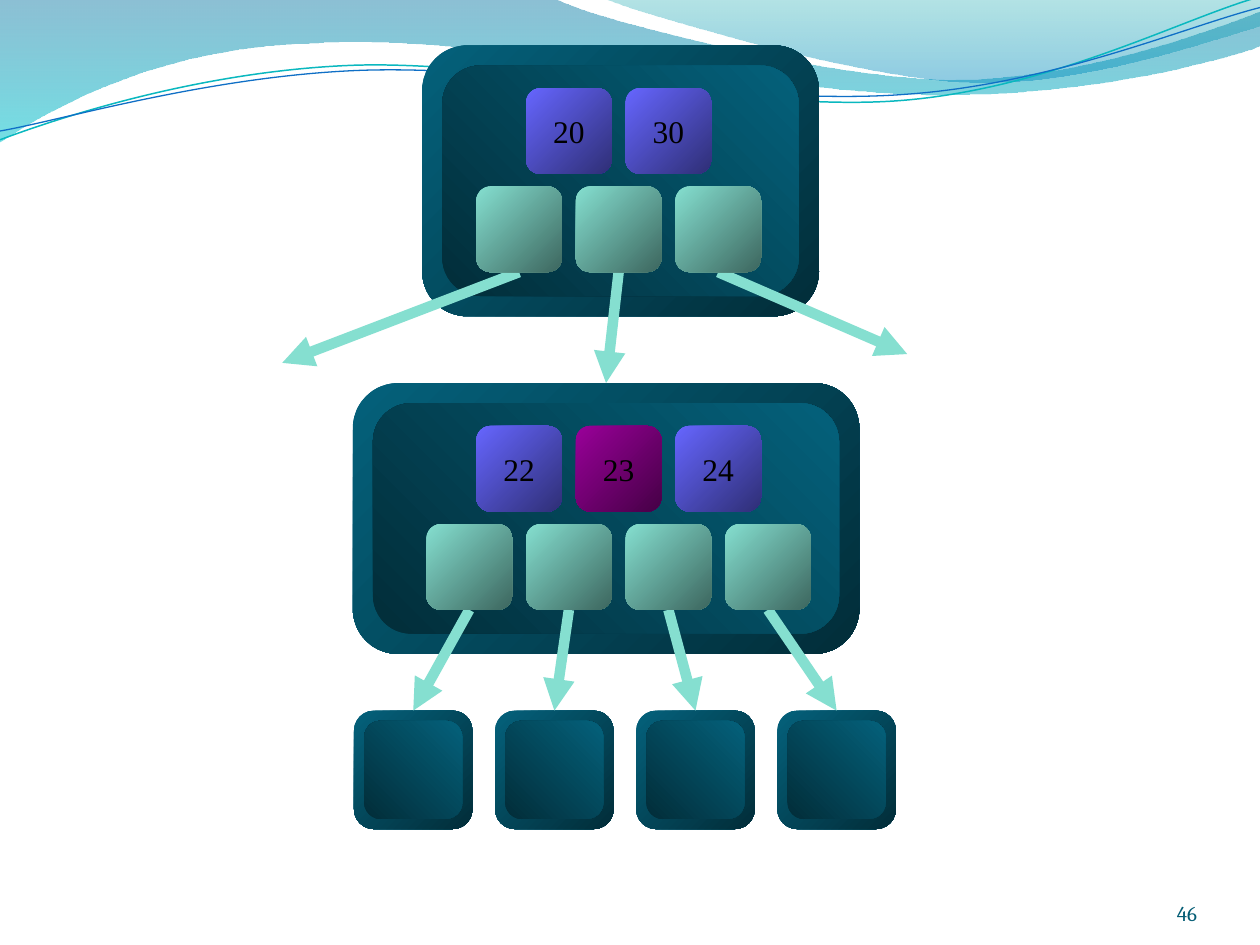
from lxml import etree
from pptx import Presentation
from pptx.dml.color import RGBColor
from pptx.enum.shapes import MSO_CONNECTOR, MSO_SHAPE
from pptx.enum.text import MSO_ANCHOR, PP_ALIGN
from pptx.oxml.ns import qn
from pptx.util import Inches, Pt

ROUND_RECT = MSO_SHAPE.ROUNDED_RECTANGLE
STRAIGHT = MSO_CONNECTOR.STRAIGHT
MIDDLE, BOTTOM = MSO_ANCHOR.MIDDLE, MSO_ANCHOR.BOTTOM
CENTER, RIGHT = PP_ALIGN.CENTER, PP_ALIGN.RIGHT

BLACK = RGBColor(0x00, 0x00, 0x00)
TEAL = RGBColor(0x04, 0x61, 0x7B)
TEAL_DARK = RGBColor(0x02, 0x2D, 0x39)
BLUE = RGBColor(0x66, 0x66, 0xFF)
BLUE_DARK = RGBColor(0x2F, 0x2F, 0x76)
PURPLE = RGBColor(0x99, 0x00, 0x99)
PURPLE_DARK = RGBColor(0x46, 0x00, 0x46)
MINT = RGBColor(0x85, 0xDF, 0xD0)
MINT_DARK = RGBColor(0x3D, 0x67, 0x5F)
NUMBER = RGBColor(0x04, 0x5D, 0x75)
WAVE_TOP = RGBColor(0x00, 0x74, 0xA1)
WAVE_BOTTOM = RGBColor(0x00, 0xC6, 0xCF)
CREST_TOP = RGBColor(0x00, 0xA1, 0xA9)
CREST_BOTTOM = RGBColor(0x00, 0x8B, 0xBF)
LINE_TEAL = RGBColor(0x0A, 0xB8, 0xBF)
LINE_BLUE = RGBColor(0x0F, 0x6F, 0xC6)

CELL, PITCH = 0.68, 0.79   # cell side and distance between cell starts
ROW_CENTER = 4.91          # every row of cells is centred here
KEY_TOP, POINTER_TOP = 0.34, 1.12

# Each outline is a list of points: 2 numbers make a line, 6 a Bezier curve
WAVE = [(0, 0), (4.4, -0.01), (4.76, 0.17, 6.64, 0.63, 7.58, 0.63),
        (8.53, 0.63, 9.58, 0.26, 10, 0.09), (10.01, 0.36),
        (9.83, 0.44, 8.7, 0.76, 7.46, 0.75), (6.22, 0.75, 3.82, 0.28, 2.57, 0.34),
        (1.29, 0.36, 0.46, 0.83, -0.01, 1.13)]
CREST = [(4.79, -0.01), (5.09, 0.11, 6.82, 0.62, 7.69, 0.65),
         (8.56, 0.69, 9.61, 0.32, 10, 0.21), (10, 0)]
TEAL_CURVE = [(0, 1.11), (0.48, 0.93, 1.58, 0.57, 2.77, 0.52),
              (3.95, 0.47, 5.93, 0.89, 7.13, 0.8), (8.33, 0.71, 9.38, 0.15, 9.98, -0.02)]
BLUE_CURVE = [(0, 1.04), (0.47, 0.96, 1.64, 0.61, 2.83, 0.56),
              (4.03, 0.51, 5.97, 0.84, 7.17, 0.75), (8.36, 0.67, 9.41, 0.21, 10, 0.06)]


def set_gradient(sp, colors, angle, alphas=()):
    """Two-colour gradient; the angle runs counter-clockwise."""
    sp.fill.gradient()
    sp.fill.gradient_angle = angle
    for stop, color in zip(sp.fill.gradient_stops, colors):
        stop.color.rgb = color
    for clr, alpha in zip(sp._element.spPr.iter(qn("a:srgbClr")), alphas):
        etree.SubElement(clr, qn("a:alpha")).set("val", str(alpha * 1000))


def add_outline(slide, outline, close):
    """Freeform through the anchor points, its segments then bent into curves."""
    x, y = outline[0]
    builder = slide.shapes.build_freeform(Inches(x), Inches(y))
    anchors = [(Inches(seg[-2]), Inches(seg[-1])) for seg in outline[1:]]
    builder.add_line_segments(anchors, close=close)
    sp = builder.convert_to_shape()
    sp.shadow.inherit = False
    lines = list(sp._element.spPr.iter(qn("a:lnTo")))
    for line, seg in zip(lines, outline[1:]):
        if len(seg) == 6:
            curve = etree.Element(qn("a:cubicBezTo"))
            for px, py in zip(seg[::2], seg[1::2]):
                pt = etree.SubElement(curve, qn("a:pt"))
                pt.set("x", str(Inches(px) - sp.left))
                pt.set("y", str(Inches(py) - sp.top))
            line.getparent().replace(line, curve)
    return sp


def draw_waves(slide):
    for outline, colors, alphas in ((WAVE, (WAVE_TOP, WAVE_BOTTOM), (45, 55)),
                                    (CREST, (CREST_TOP, CREST_BOTTOM), (30, 45))):
        sp = add_outline(slide, outline, True)
        set_gradient(sp, colors, 270, alphas)
        sp.line.fill.background()
    for outline, color, width in ((TEAL_CURVE, LINE_TEAL, 0.85), (BLUE_CURVE, LINE_BLUE, 0.75)):
        sp = add_outline(slide, outline, False)
        sp.fill.background()
        sp.line.color.rgb = color
        sp.line.width = Pt(width)


def draw_number(slide, x, y, w, h):
    tf = slide.shapes.add_textbox(Inches(x), Inches(y), Inches(w), Inches(h)).text_frame
    tf.word_wrap = True
    tf.vertical_anchor = BOTTOM
    tf.margin_left = tf.margin_right = tf.margin_top = tf.margin_bottom = 0
    p = tf.paragraphs[0]
    p.text = "46"
    p.alignment = RIGHT
    p.font.size = Pt(12)
    p.font.name = "Cambria"
    p.font.color.rgb = NUMBER


def add_box(slide, x, y, w, h, colors, angle=315):
    sp = slide.shapes.add_shape(ROUND_RECT, Inches(x), Inches(y), Inches(w), Inches(h))
    sp.shadow.inherit = False
    sp.line.fill.background()
    set_gradient(sp, colors, angle)
    return sp


def draw_panel(slide, x, y, w, h, inset):
    """Bevelled panel: a frame with a face shaded the other way."""
    frame = add_box(slide, x, y, w, h, (TEAL, TEAL_DARK))
    add_box(slide, x + inset, y + inset, w - 2 * inset, h - 2 * inset, (TEAL_DARK, TEAL), 45)
    return frame


def add_arrow(slide, x1, y1, x2, y2):
    cxn = slide.shapes.add_connector(STRAIGHT, Inches(x1), Inches(y1), Inches(x2), Inches(y2))
    cxn.line.color.rgb = MINT
    cxn.line.width = Pt(6)
    etree.SubElement(cxn.line._get_or_add_ln(), qn("a:tailEnd")).set("type", "triangle")
    etree.SubElement(cxn._element.spPr, qn("a:effectLst"))
    return cxn


def cell_lefts(count):
    first = ROW_CENTER - ((count - 1) * PITCH + CELL) / 2
    return [first + i * PITCH for i in range(count)]


def draw_node(slide, x, y, w, h, keys, targets, marked=None):
    """Tree node; each target is a child panel or an (x, y) point."""
    panel = draw_panel(slide, x, y, w, h, 0.16)
    # Keys
    for left, key in zip(cell_lefts(len(keys)), keys):
        colors = (PURPLE, PURPLE_DARK) if key == marked else (BLUE, BLUE_DARK)
        tf = add_box(slide, left, y + KEY_TOP, CELL, CELL, colors).text_frame
        tf.word_wrap = False
        tf.vertical_anchor = MIDDLE
        p = tf.paragraphs[0]
        p.text = key
        p.alignment = CENTER
        p.font.size = Pt(18)
        p.font.name = "Times New Roman"
        p.font.color.rgb = BLACK
    # Pointers, each above its arrow
    top = y + POINTER_TOP
    for left, target in zip(cell_lefts(len(targets)), targets):
        is_point = isinstance(target, tuple)
        end = target if is_point else (left, top + 1)
        arrow = add_arrow(slide, left + CELL / 2, top + CELL, *end)
        pointer = add_box(slide, left, top, CELL, CELL, (MINT, MINT_DARK))
        arrow.begin_connect(pointer, 2)
        if not is_point:
            arrow.end_connect(target, 0)
    return panel


def main():
    prs = Presentation()
    prs.slide_width, prs.slide_height = Inches(10), Inches(7.5)
    slide = prs.slides.add_slide(prs.slide_layouts[6])
    draw_waves(slide)
    draw_number(slide, 8.67, 6.95, 0.83, 0.4)
    # Tree, from the leaves up
    leaves = [draw_panel(slide, 2.81 + i * 1.12, 5.64, 0.94, 0.94, 0.08) for i in range(4)]
    child = draw_node(slide, 2.8, 3.04, 4.02, 2.15, ["22", "23", "24"], leaves, marked="23")
    draw_node(slide, 3.35, 0.36, 3.15, 2.15, ["20", "30"], [(2.24, 2.88), child, (7.2, 2.81)])
    prs.save("out.pptx")


if __name__ == "__main__":
    main()
